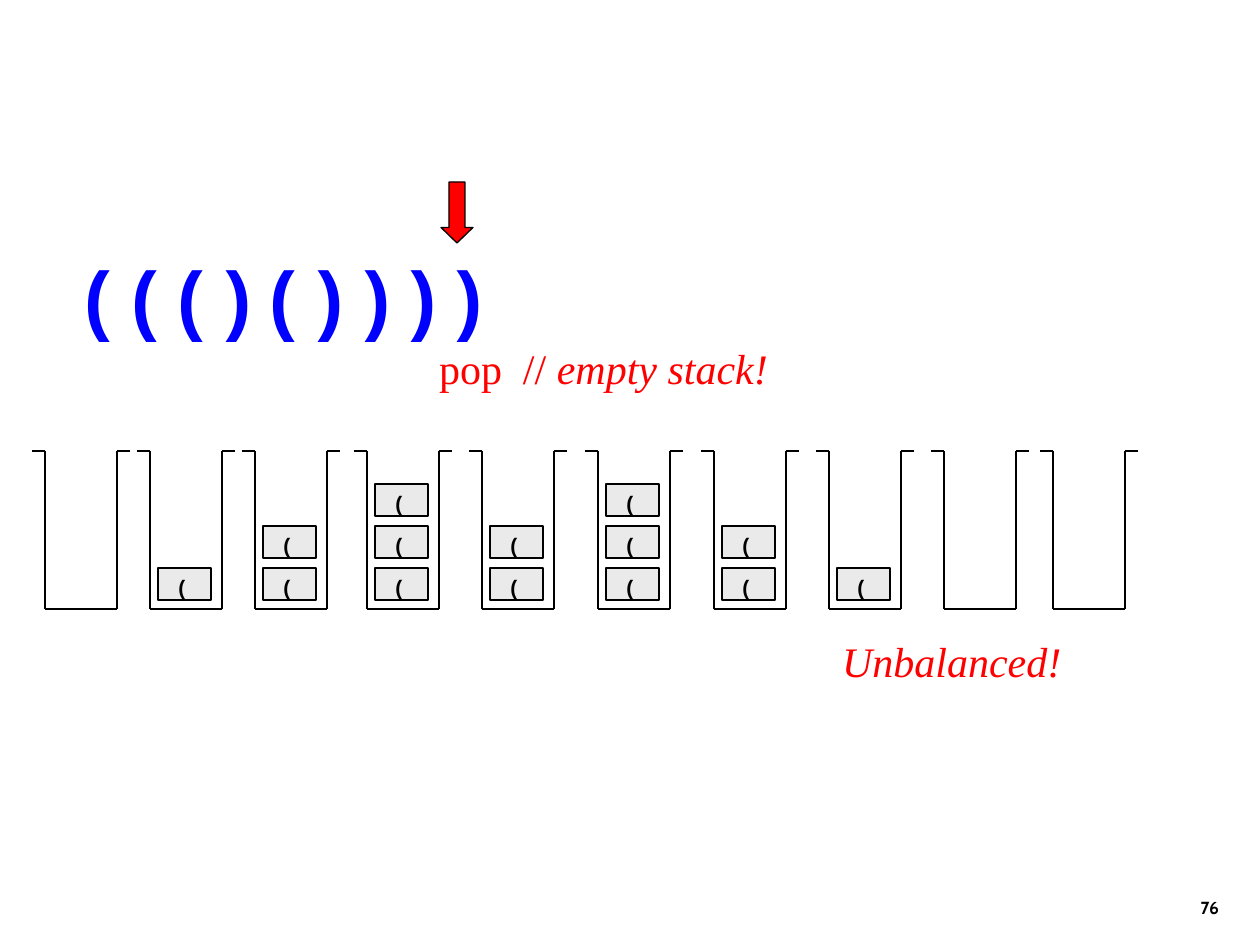
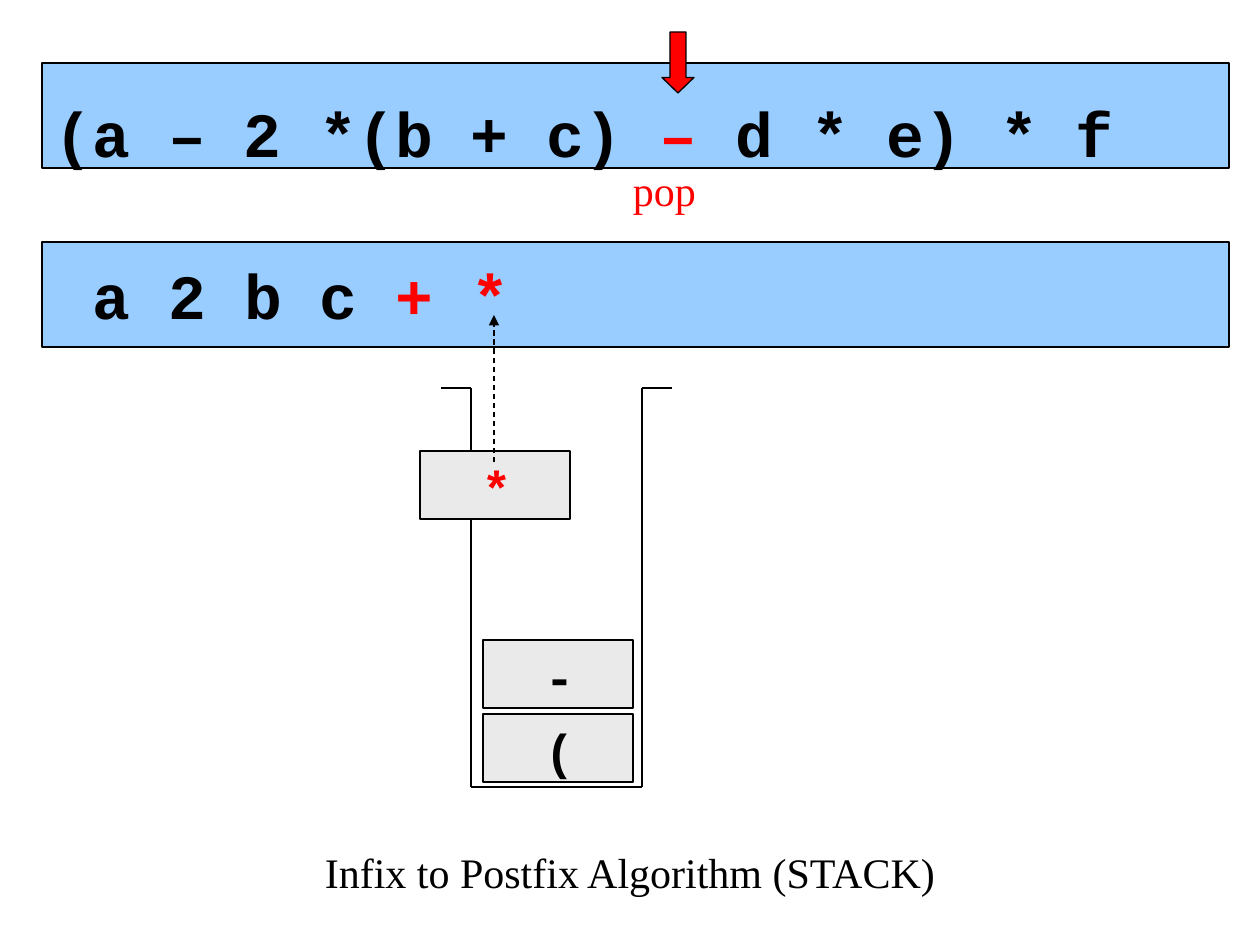
from dataclasses import dataclass
from itertools import accumulate

from lxml import etree
from pptx import Presentation
from pptx import util as u
from pptx.dml.color import RGBColor
from pptx.enum import dml, shapes, text
from pptx.oxml.ns import qn

PX = u.Inches(1) / 126


@dataclass(frozen=True)
class Theme:
    black: str = "000000"
    white: str = "FFFFFF"
    red: str = "FF0000"
    blue: str = "0000FF"
    band: str = "99CCFF"
    cell: str = "EAEAEA"
    serif: str = "Times New Roman"
    mono: str = "Courier New"
    sans: str = "Cabin"
    number: int = 10
    small: int = 12
    body: int = 24
    operator: int = 28
    code: int = 36
    big: int = 44
    strut: int = 60
    line: float = 0.75


THEME = Theme()


@dataclass(frozen=True)
class Style:
    size: int = THEME.body
    font: str = THEME.serif
    color: str = THEME.black
    bold: bool = False
    italic: bool = False


def emu(*lengths):
    return [u.Emu(round(length * PX)) for length in lengths]


def write(shape, spans, align=text.PP_ALIGN.LEFT, anchor=text.MSO_ANCHOR.TOP, left=13, tab=None):
    """Fill a shape with one paragraph of (words, style) spans."""
    frame = shape.text_frame
    frame.word_wrap = True
    frame.vertical_anchor = anchor
    frame.margin_left, frame.margin_right = emu(left, 13)
    para = frame.paragraphs[0]
    para.alignment = align
    if tab:
        stops = etree.SubElement(para._p.get_or_add_pPr(), qn("a:tabLst"))
        etree.SubElement(stops, qn("a:tab"), pos=str(emu(tab)[0]), algn="l")
    for words, style in spans:
        span = para.add_run()
        span.text = words
        font = span.font
        font.size, font.name = u.Pt(style.size), style.font
        font.bold, font.italic = style.bold, style.italic
        font.color.rgb = RGBColor.from_string(style.color)


def add_label(page, box, spans, **layout):
    write(page.shapes.add_textbox(*emu(*box)), spans, **layout)


def add_block(page, box, fill, kind=shapes.MSO_SHAPE.RECTANGLE, outline=True):
    block = page.shapes.add_shape(kind, *emu(*box))
    block.shadow.inherit = False
    block.fill.solid()
    block.fill.fore_color.rgb = RGBColor.from_string(fill)
    if outline:
        block.line.color.rgb = RGBColor.from_string(THEME.black)
        block.line.width = u.Pt(THEME.line)
    else:
        block.line.fill.background()
    return block


def add_line(page, start, end):
    line = page.shapes.add_connector(shapes.MSO_CONNECTOR.STRAIGHT, *emu(*start, *end))
    line.line.color.rgb = RGBColor.from_string(THEME.black)
    line.line.width = u.Pt(THEME.line)
    etree.SubElement(line._element.spPr, qn("a:effectLst"))
    return line


def add_stack(page, box, lip):
    """Open container with a lip at each side of its mouth."""
    left, top, width, height = box
    right, bottom = left + width, top + height
    corners = [(left, top), (left + lip, top), (left + lip, bottom),
               (right - lip, bottom), (right - lip, top), (right, top)]
    for start, end in zip(corners, corners[1:]):
        add_line(page, start, end)


def add_cell(page, box, symbol, size, left, color=THEME.black):
    cell = add_block(page, box, THEME.cell)
    write(cell, [(symbol, Style(size, THEME.mono, color, bold=True))], left=left)


def add_pointer(page, left, top):
    """Red arrow over the symbol being read."""
    pointer = add_block(page, (left, top, 32, 61), THEME.red, shapes.MSO_SHAPE.DOWN_ARROW)
    pointer.adjustments[0], pointer.adjustments[1] = 0.5, 0.484


def add_band(page, box, spans, left=13):
    write(add_block(page, box, THEME.band), spans, anchor=text.MSO_ANCHOR.MIDDLE, left=left)


def add_stack_history(page, box, expression, lefts):
    """One stack for the start and one after each bracket read."""
    left, top, width, height = box
    steps = (1 if bracket == "(" else -1 for bracket in expression)
    depths = accumulate(steps, initial=0)
    for offset, depth in zip(lefts, depths):
        add_stack(page, (left + offset, top, width, height), lip=13)
        for level in range(depth):
            cell = (left + offset + 21, top + height - 41 - 42 * level, 53, 32)
            add_cell(page, cell, "(", THEME.small, left=18)


def brackets_slide(page):
    expression = "((()())))"
    red = Style(color=THEME.red)
    red_italic = Style(color=THEME.red, italic=True)

    # Page number
    add_label(page, (970, 861, 262, 63), [("76", Style(THEME.number, THEME.sans, bold=True))],
              align=text.PP_ALIGN.RIGHT, anchor=text.MSO_ANCHOR.BOTTOM)

    # Stacks and verdict
    add_stack_history(page, (32, 451, 98, 158), expression,
                      (0, 105, 210, 322, 437, 553, 669, 784, 899, 1008))
    add_label(page, (829, 629, 260, 63), [("Unbalanced!", red_italic)])

    # Expression, pointer and current action
    add_label(page, (63, 243, 462, 106),
              [(expression, Style(THEME.big, THEME.mono, THEME.blue, bold=True))])
    add_pointer(page, 441, 182)
    add_label(page, (426, 336, 373, 63),
              [("pop\t// ", red), ("empty stack!", red_italic)], tab=84)


def postfix_slide(page):
    code = Style(THEME.code, THEME.mono, bold=True)
    red_code = Style(THEME.code, THEME.mono, THEME.red, bold=True)
    strut = Style(THEME.strut, THEME.mono, bold=True)

    # Infix input and postfix output
    add_band(page, (42, 63, 1187, 105),
             [("(a – 2 *(b + c) ", code), ("–", red_code), (" d * e) * f", code), (" ", strut)])
    add_band(page, (42, 242, 1187, 105), [("a 2 b c ", code), ("+ *", red_code)], left=51)

    # Operator stack
    add_stack(page, (441, 388, 231, 399), lip=30)
    for left, top, symbol, color in ((483, 714, "(", THEME.black),
                                     (483, 640, "-", THEME.black),
                                     (420, 451, "*", THEME.red)):
        add_cell(page, (left, top, 150, 68), symbol, THEME.operator, left=62, color=color)

    # Current action
    add_pointer(page, 662, 32)
    add_label(page, (620, 158, 100, 63), [("pop", Style(color=THEME.red))])
    move = add_line(page, (494, 462), (494, 315))
    move.line.dash_style = dml.MSO_LINE.DASH
    etree.SubElement(move.line._get_or_add_ln(), qn("a:tailEnd"), type="triangle")

    # Caption
    caption = add_block(page, (0, 798, 1260, 147), THEME.white, outline=False)
    write(caption, [("Infix to Postfix Algorithm (STACK)", Style())],
          align=text.PP_ALIGN.CENTER, anchor=text.MSO_ANCHOR.MIDDLE)


def main():
    deck = Presentation()
    deck.slide_width, deck.slide_height = emu(1260, 945)
    for build in (brackets_slide, postfix_slide):
        build(deck.slides.add_slide(deck.slide_layouts[6]))
    deck.save("out.pptx")


if __name__ == "__main__":
    main()
